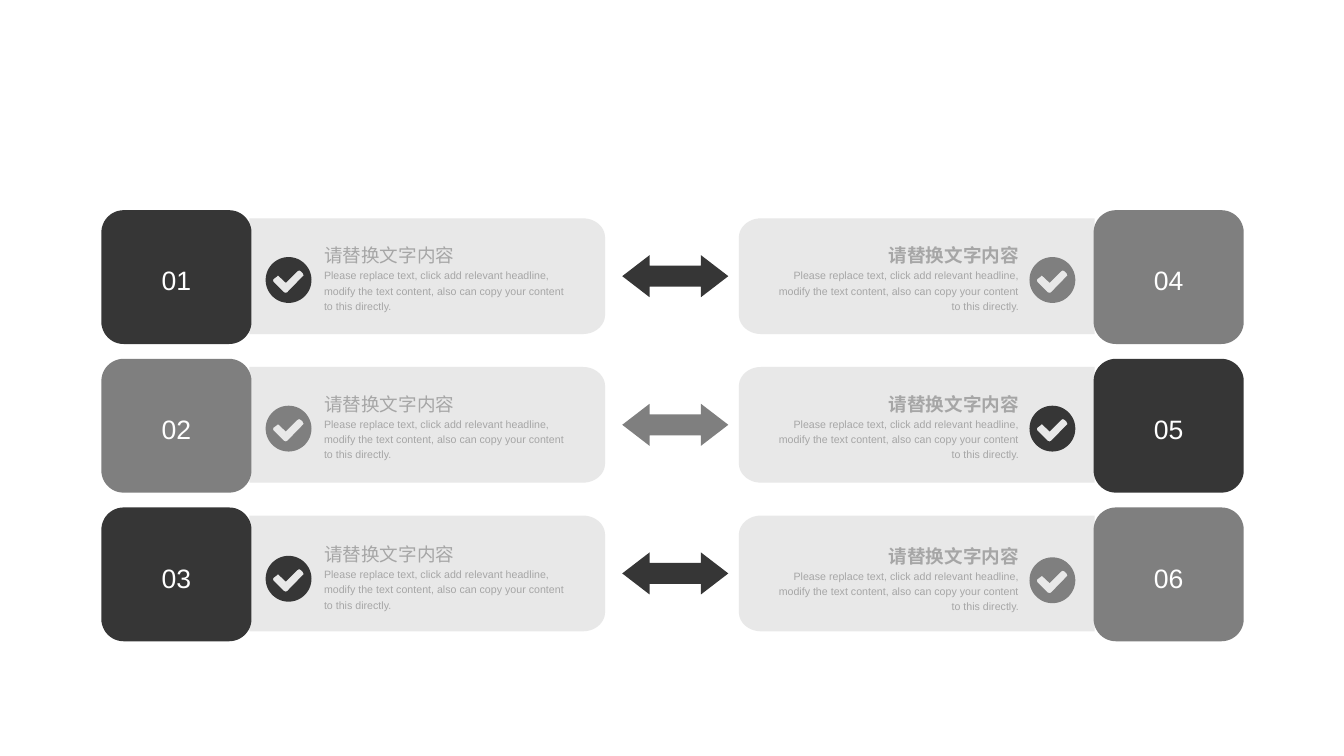
import math
from collections import namedtuple

from lxml import etree
from pptx import Presentation
from pptx.dml.color import RGBColor
from pptx.enum.shapes import MSO_SHAPE
from pptx.enum.text import MSO_ANCHOR, MSO_AUTO_SIZE, PP_ALIGN
from pptx.oxml.ns import qn
from pptx.util import Inches, Pt

ROUNDED = MSO_SHAPE.ROUNDED_RECTANGLE
DOUBLE_ARROW = MSO_SHAPE.LEFT_RIGHT_ARROW
LEFT, RIGHT, CENTER = PP_ALIGN.LEFT, PP_ALIGN.RIGHT, PP_ALIGN.CENTER
MIDDLE = MSO_ANCHOR.MIDDLE
FIT_TEXT = MSO_AUTO_SIZE.SHAPE_TO_FIT_TEXT

WIDTH, HEIGHT = Inches(14.06), Inches(7.91)
FONT = "Arial"
SHADES = ("363636", "7F7F7F")
PANEL_COLOR, TEXT_COLOR, NUMBER_COLOR = "E6E6E6", "A6A6A6", "FFFFFF"
HEADLINE = "请替换文字内容"
BODY = ("Please replace text, click add relevant headline, modify the text "
        "content, also can copy your content to this directly.")

ROWS, FIRST_ROW, ROW_PITCH = 3, 27.81, 19.66
TICK = ((.81, .35), (.77, .31), (.73, .29), (.69, .31), (.44, .56), (.29, .42),
        (.27, .40), (.25, .42), (.17, .48), (.16, .51), (.17, .54), (.40, .77),
        (.44, .78), (.47, .77), (.81, .42), (.83, .40))

Side = namedtuple("Side", "badge flat_edge round_edge icon text align bold last_drop")
SIDES = (
    Side(7.54, 18.56, 45.02, 19.77, 24.11, LEFT, False, 0.2),
    Side(81.37, 81.44, 54.98, 76.6, 57.47, RIGHT, True, 0.4),
)


def across(share):
    """Turn a percentage of the slide's width into a length."""
    return round(WIDTH * share / 100)


def down(share):
    """Turn a percentage of the slide's height into a length."""
    return round(HEIGHT * share / 100)


def color(value):
    """Turn a hex string into a colour."""
    return RGBColor.from_string(value)


def paint(shape, value):
    """Fill a shape with one colour, without line or shadow."""
    shape.shadow.inherit = False
    shape.fill.solid()
    shape.fill.fore_color.rgb = color(value)
    shape.line.fill.background()


def add_outline(page, contours, value):
    """Draw closed contours as one painted freeform."""
    builder = page.shapes.build_freeform(*contours[0][0])
    builder.add_line_segments(contours[0][1:])
    for contour in contours[1:]:
        builder.move_to(*contour[0])
        builder.add_line_segments(contour[1:])
    shape = builder.convert_to_shape()
    paint(shape, value)
    return shape


def add_panel(page, side, top):
    """Draw a translucent panel whose two inner corners are rounded."""
    sign = 1 if side.round_edge > side.flat_edge else -1
    radius_x, radius_y, height = 1.64, 2.53, 15.3
    center_x = side.round_edge - sign * radius_x
    points = [(across(side.flat_edge), down(top))]
    for center_y, start in ((top + radius_y, -90), (top + height - radius_y, 0)):
        for degrees in range(start, start + 91, 6):
            angle = math.radians(degrees)
            points.append((across(center_x + sign * radius_x * math.cos(angle)),
                           down(center_y + radius_y * math.sin(angle))))
    points.append((across(side.flat_edge), down(top + height)))
    panel = add_outline(page, [points], PANEL_COLOR)
    tint = panel.fill._xPr.find(".//" + qn("a:srgbClr"))
    etree.SubElement(tint, qn("a:alpha"), val="90000")


def add_check(page, left, top, value):
    """Draw a disc with a tick cut out of it."""
    size = across(3.41)
    angles = [math.radians(degrees) for degrees in range(0, 360, 6)]
    disc = [(0.5 + math.cos(angle) / 2, 0.5 - math.sin(angle) / 2) for angle in angles]
    contours = [[(across(left) + round(x * size), down(top) + round(y * size))
                 for x, y in contour] for contour in (disc, TICK)]
    add_outline(page, contours, value)


def add_preset(page, kind, left, top, width, height, value):
    """Add a painted preset shape."""
    shape = page.shapes.add_shape(
        kind, across(left), down(top), across(width), down(height))
    paint(shape, value)
    return shape


def clear_margins(frame):
    """Remove the inner margins of a text frame and let it wrap."""
    frame.margin_left = frame.margin_right = 0
    frame.margin_top = frame.margin_bottom = 0
    frame.word_wrap = True


def write(para, text, size, value, align, bold=False):
    """Write one paragraph in one font."""
    para.text = text
    para.alignment = align
    para.line_spacing = 1.2
    para.font.name = FONT
    para.font.size = Pt(size)
    para.font.bold = bold
    para.font.color.rgb = color(value)


def add_badge(page, left, top, number, value):
    """Add a numbered rounded tile."""
    badge = add_preset(page, ROUNDED, left, top, 11.17, 17.7, value)
    frame = badge.text_frame
    clear_margins(frame)
    frame.vertical_anchor = MIDDLE
    write(frame.paragraphs[0], f"{number:02d}", 20, NUMBER_COLOR, CENTER)


def add_caption(page, side, top):
    """Add a headline with its body text."""
    box = page.shapes.add_textbox(
        across(side.text), down(top), across(18.35), down(9.73))
    frame = box.text_frame
    clear_margins(frame)
    frame.auto_size = FIT_TEXT
    write(frame.paragraphs[0], HEADLINE, 14, TEXT_COLOR, side.align, side.bold)
    write(frame.add_paragraph(), BODY, 8, TEXT_COLOR, side.align)


def add_arrow(page, top, value):
    """Add the double arrow between the two sides of a row."""
    arrow = add_preset(page, DOUBLE_ARROW, 46.3, top, 7.89, 5.56, value)
    arrow.adjustments[0] = 0.5
    arrow.adjustments[1] = 0.65


def main():
    """Build the six numbered panels and save the deck."""
    deck = Presentation()
    deck.slide_width, deck.slide_height = WIDTH, HEIGHT
    page = deck.slides.add_slide(deck.slide_layouts[6])
    for row in range(ROWS):
        top = FIRST_ROW + row * ROW_PITCH
        add_arrow(page, top + 5.94, SHADES[row % 2])
        for column, side in enumerate(SIDES):
            shade = SHADES[(row + column) % 2]
            drop = side.last_drop if row == ROWS - 1 else 0
            add_panel(page, side, top + 1.08)
            add_check(page, side.icon, top + 6.2 + drop, shade)
            add_caption(page, side, top + 3.92 + drop)
            add_badge(page, side.badge, top, column * ROWS + row + 1, shade)
    deck.save("out.pptx")


if __name__ == "__main__":
    main()
